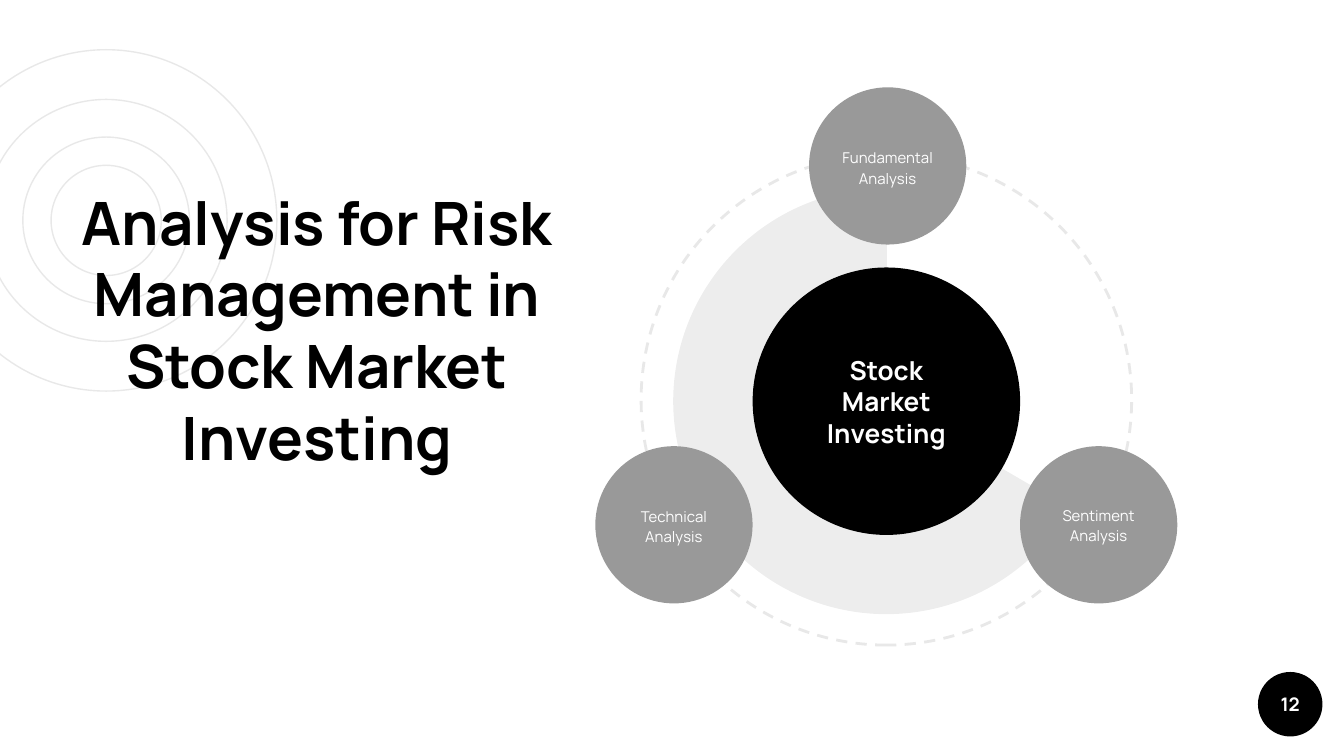
from typing import NamedTuple, Optional

from lxml import etree
from pptx import Presentation
from pptx.dml.color import RGBColor
from pptx.enum.dml import MSO_LINE
from pptx.enum.shapes import MSO_SHAPE
from pptx.enum.text import MSO_ANCHOR, PP_ALIGN
from pptx.oxml.ns import qn
from pptx.util import Pt

PX = 9144  # 100 px to the inch
SLIDE_WIDTH = 1000 * PX
SLIDE_HEIGHT = SLIDE_WIDTH * 9 // 16
BLACK = RGBColor(0x00, 0x00, 0x00)
WHITE = RGBColor(0xFF, 0xFF, 0xFF)
GREY = RGBColor(0x99, 0x99, 0x99)
PALE = RGBColor(0xE8, 0xE8, 0xE8)
FONT = "Manrope"
ELLIPSE, PIE = MSO_SHAPE.OVAL, MSO_SHAPE.PIE
TOP, MIDDLE = MSO_ANCHOR.TOP, MSO_ANCHOR.MIDDLE
CENTER = PP_ALIGN.CENTER
DASH = MSO_LINE.DASH
PIE_ANGLES = (18.12, 162.15)  # units of 100000 / 60000 degrees


class Box(NamedTuple):
    left: int
    top: int
    width: int
    height: int


class Satellite(NamedTuple):
    text: str
    circle: Box
    label: Box


RING_CENTER = (79, 164)
RING_DIAMETERS = (254, 180, 124, 82)
BADGE = Box(936, 500, 48, 48)
SATELLITES = (
    Satellite("Fundamental Analysis", Box(602, 65, 117, 117), Box(602, 84, 117, 80)),
    Satellite("Technical Analysis", Box(443, 332, 117, 117), Box(460, 351, 83, 80)),
    Satellite("Sentiment Analysis", Box(759, 332, 117, 117), Box(776, 350, 83, 80)),
)


def emu(box: Box) -> list[int]:
    return [length * PX for length in box]


def add_figure(slide, kind, box: Box, fill: Optional[RGBColor] = None,
               line: Optional[RGBColor] = None, weight: float = 0.75):
    figure = slide.shapes.add_shape(kind, *emu(box))
    figure.shadow.inherit = False
    if fill is None:
        figure.fill.background()
    else:
        figure.fill.solid()
        figure.fill.fore_color.rgb = fill
    if line is None:
        figure.line.fill.background()
    else:
        figure.line.color.rgb = line
        figure.line.width = Pt(weight)
    return figure


def write(holder, text: str, *, size: int, color: RGBColor = WHITE,
          bold: bool = False, spacing: Optional[float] = None, anchor=MIDDLE) -> None:
    frame = holder.text_frame
    frame.word_wrap = True
    frame.vertical_anchor = anchor
    frame.margin_left = frame.margin_right = 10 * PX
    frame.margin_top = frame.margin_bottom = 10 * PX
    paragraph = frame.paragraphs[0]
    paragraph.alignment = CENTER
    if spacing is not None:
        paragraph.line_spacing = spacing
    run = paragraph.add_run()
    run.text = text
    run.font.name = FONT
    run.font.size = Pt(size)
    run.font.bold = bold
    run.font.color.rgb = color


def add_label(slide, box: Box, text: str, **text_format) -> None:
    write(slide.shapes.add_textbox(*emu(box)), text, **text_format)


def add_rings(slide) -> None:
    x, y = RING_CENTER
    for diameter in RING_DIAMETERS:
        box = Box(x - diameter // 2, y - diameter // 2, diameter, diameter)
        add_figure(slide, ELLIPSE, box, line=PALE)


def add_sector(slide) -> None:
    """Draw the translucent two-thirds sector behind the hub."""
    sector = add_figure(slide, PIE, Box(501, 140, 317, 317), fill=BLACK)
    for index, angle in enumerate(PIE_ANGLES):
        sector.adjustments[index] = angle
    color = sector.fill._xPr.find(qn("a:solidFill"))[0]
    etree.SubElement(color, qn("a:alpha"), val="7000")


def add_satellite(slide, satellite: Satellite) -> None:
    add_figure(slide, ELLIPSE, satellite.circle, fill=GREY)
    add_label(slide, satellite.label, satellite.text, size=8, spacing=1.15)


def main() -> None:
    deck = Presentation()
    deck.slide_width, deck.slide_height = SLIDE_WIDTH, SLIDE_HEIGHT
    slide = deck.slides.add_slide(deck.slide_layouts[6])

    add_rings(slide)
    add_figure(slide, ELLIPSE, BADGE, fill=BLACK)
    add_label(slide, Box(50, 128, 372, 247),
              "Analysis for Risk Management in Stock Market Investing",
              size=32, color=BLACK, bold=True, anchor=TOP)
    add_label(slide, BADGE, "12", size=10, bold=True)

    orbit = add_figure(slide, ELLIPSE, Box(477, 115, 365, 365), line=PALE, weight=1.5)
    orbit.line.dash_style = DASH
    orbit.rotation = 270
    add_sector(slide)
    hub = add_figure(slide, ELLIPSE, Box(560, 199, 199, 199), fill=BLACK)
    write(hub, "Stock Market Investing", size=14, bold=True)
    for satellite in SATELLITES:
        add_satellite(slide, satellite)

    deck.save("out.pptx")


if __name__ == "__main__":
    main()
